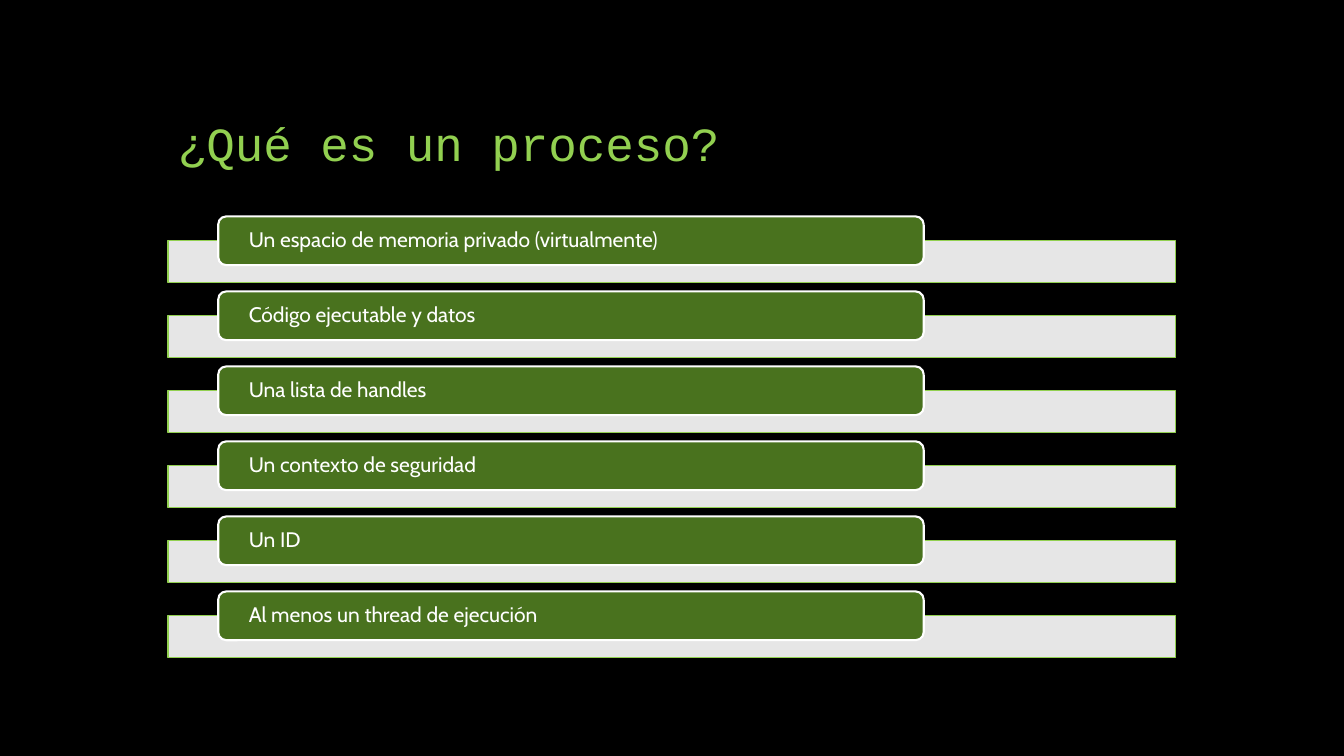
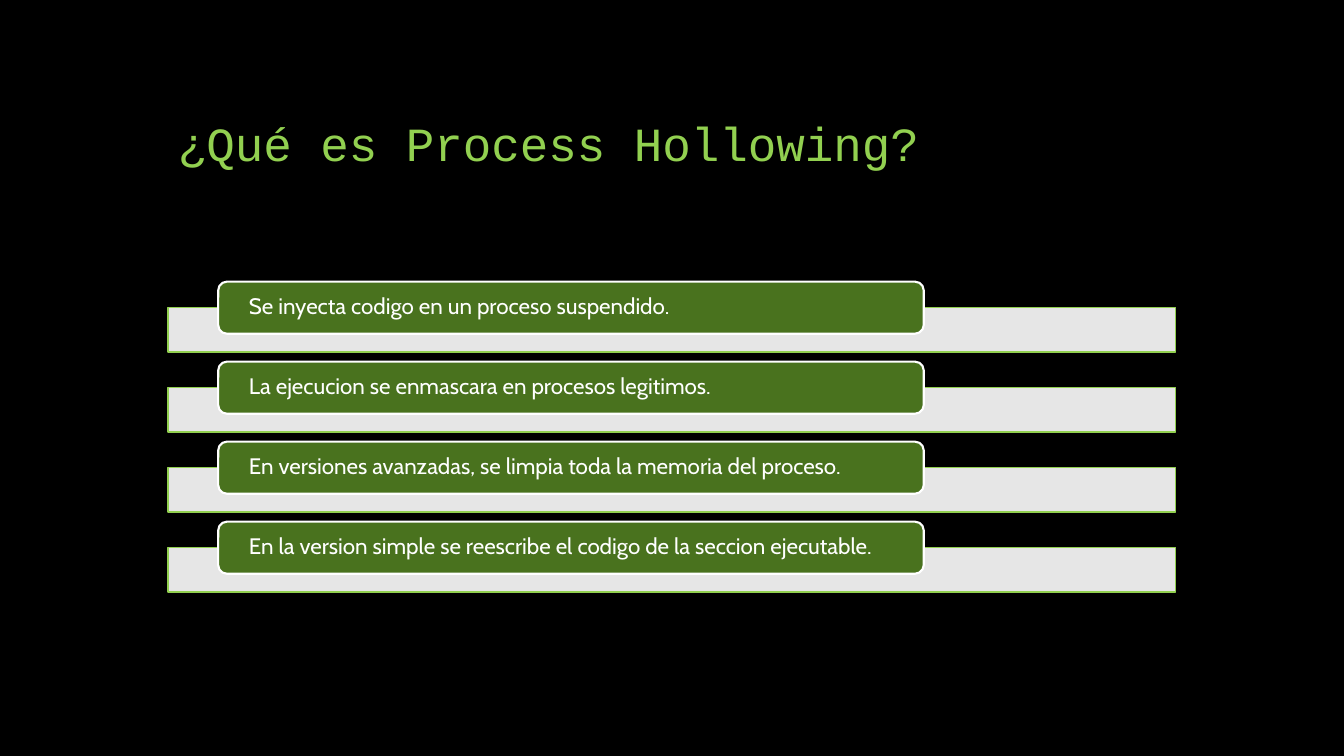
from pptx import Presentation
from pptx.dml.color import RGBColor
from pptx.enum.shapes import MSO_SHAPE
from pptx.enum.text import MSO_ANCHOR, MSO_AUTO_SIZE, PP_ALIGN
from pptx.oxml.ns import qn
from pptx.util import Cm, Pt
from lxml import etree

RECTANGLE, ROUNDED = MSO_SHAPE.RECTANGLE, MSO_SHAPE.ROUNDED_RECTANGLE
BOTTOM, MIDDLE = MSO_ANCHOR.BOTTOM, MSO_ANCHOR.MIDDLE
LEFT = PP_ALIGN.LEFT
NO_AUTOFIT = MSO_AUTO_SIZE.NONE

BLACK = RGBColor(0x00, 0x00, 0x00)
WHITE = RGBColor(0xFF, 0xFF, 0xFF)
LIME = RGBColor(0x92, 0xD0, 0x50)
DARK_GREEN = RGBColor(0x49, 0x72, 0x1E)

TITLE_FONT, BODY_FONT = "Courier New", "Cabin"
TITLE_SIZE = 34
LINE_SPACING = 0.9

# Lengths in centimetres
MARGIN, CONTENT_WIDTH = 4.23, 25.4
LABEL_LEFT, LABEL_WIDTH, LABEL_INSET = 5.5, 17.78, 0.71
LIST_CENTER = 11.01

# Millimetres per point of text size
LABEL_RATIO, BAR_RATIO, PITCH_RATIO = 0.82, 0.7, 1.26

SLIDES = [
    ("¿Qué es un proceso?", 15, [
        "Un espacio de memoria privado (virtualmente)",
        "Código ejecutable y datos",
        "Una lista de handles",
        "Un contexto de seguridad",
        "Un ID",
        "Al menos un thread de ejecución",
    ]),
    ("¿Qué es Process Hollowing?", 16, [
        "Se inyecta codigo en un proceso suspendido.",
        "La ejecucion se enmascara en procesos legitimos.",
        "En versiones avanzadas, se limpia toda la memoria del proceso.",
        "En la version simple se reescribe el codigo de la seccion ejecutable.",
    ]),
]


class Deck:
    def __init__(self):
        self.prs = Presentation()
        self.prs.slide_width, self.prs.slide_height = Cm(33.87), Cm(19.05)
        background = self.prs.slide_master.background.fill
        background.solid()
        background.fore_color.rgb = BLACK
        self.slide = None

    def add_slide(self, title):
        self.slide = self.prs.slides.add_slide(self.prs.slide_layouts[5])
        heading = self.slide.shapes.title
        heading.left, heading.top = Cm(MARGIN), Cm(1.27)
        heading.width, heading.height = Cm(CONTENT_WIDTH), Cm(3.18)
        self.set_text(heading, title, TITLE_FONT, TITLE_SIZE, LIME, BOTTOM)

    def set_text(self, shape, text, font_name, size, color, anchor):
        frame = shape.text_frame
        frame.text = text
        frame.word_wrap = True
        frame.auto_size = NO_AUTOFIT
        frame.vertical_anchor = anchor
        paragraph = frame.paragraphs[0]
        paragraph.alignment = LEFT
        paragraph.line_spacing = LINE_SPACING
        font = paragraph.runs[0].font
        font.name, font.size = font_name, Pt(size)
        font.color.rgb = color

    def block(self, preset, left, top, width, height, fill, line, line_width):
        shape = self.slide.shapes.add_shape(
            preset, Cm(left), Cm(top), Cm(width), Cm(height))
        shape.shadow.inherit = False
        shape.fill.solid()
        shape.fill.fore_color.rgb = fill
        shape.line.color.rgb = line
        shape.line.width = Pt(line_width)
        return shape

    def bar(self, top, height):
        """Draw the slightly transparent bar behind a label."""
        bar = self.block(RECTANGLE, MARGIN, top, CONTENT_WIDTH, height,
                         WHITE, LIME, 1)
        color = bar.element.spPr.find(qn("a:solidFill"))[0]
        etree.SubElement(color, qn("a:alpha")).set("val", "90000")

    def label(self, text, top, height, size):
        label = self.block(ROUNDED, LABEL_LEFT, top, LABEL_WIDTH, height,
                           DARK_GREEN, WHITE, 1.5)
        frame = label.text_frame
        frame.margin_left = frame.margin_right = Cm(LABEL_INSET)
        frame.margin_top = frame.margin_bottom = 0
        self.set_text(label, text, BODY_FONT, size, WHITE, MIDDLE)

    def bar_list(self, items, size):
        """Stack the items around LIST_CENTER, scaled to the text size."""
        label_height, bar_height, pitch = (
            size * ratio / 10 for ratio in (LABEL_RATIO, BAR_RATIO, PITCH_RATIO))
        span = (len(items) - 1) * pitch + label_height / 2 + bar_height
        first_top = LIST_CENTER - span / 2
        for index, item in enumerate(items):
            top = first_top + index * pitch
            self.bar(top + label_height / 2, bar_height)
            self.label(item, top, label_height, size)


def main():
    deck = Deck()
    for title, size, items in SLIDES:
        deck.add_slide(title)
        deck.bar_list(items, size)
    deck.prs.save("out.pptx")


if __name__ == "__main__":
    main()
